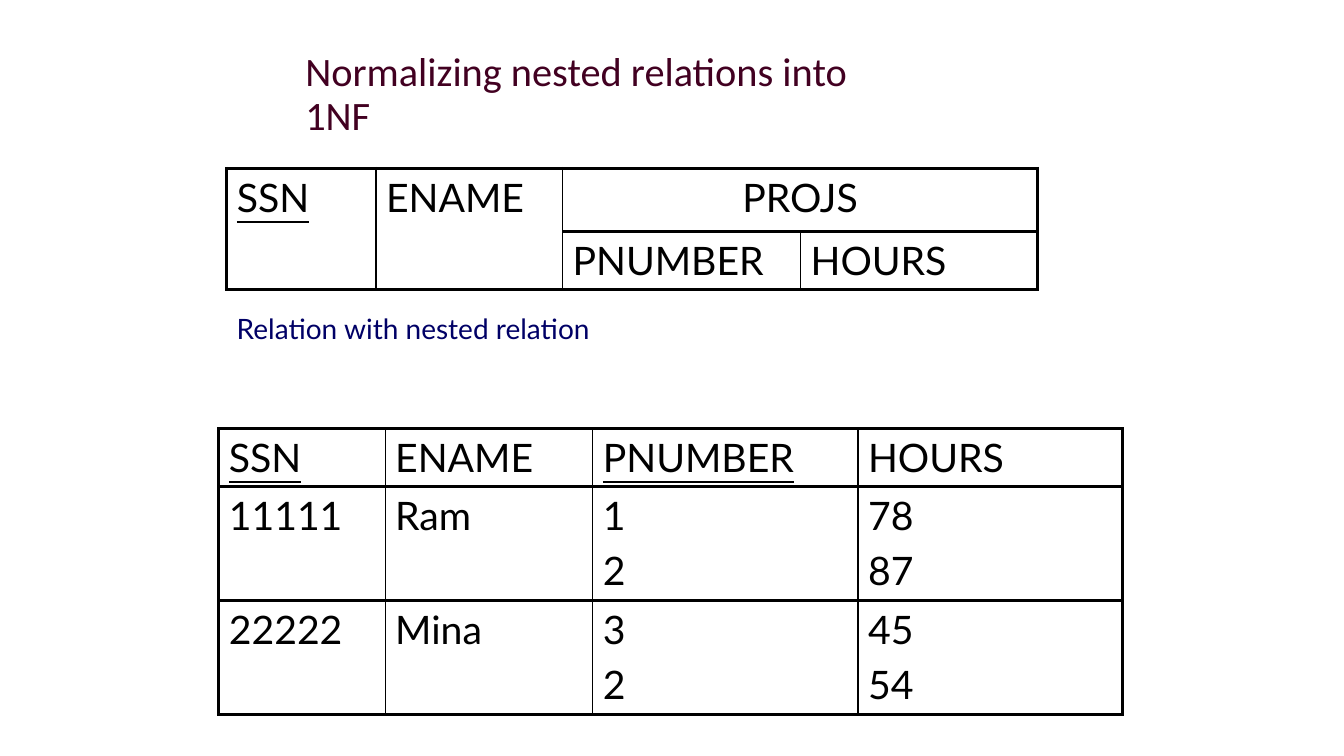
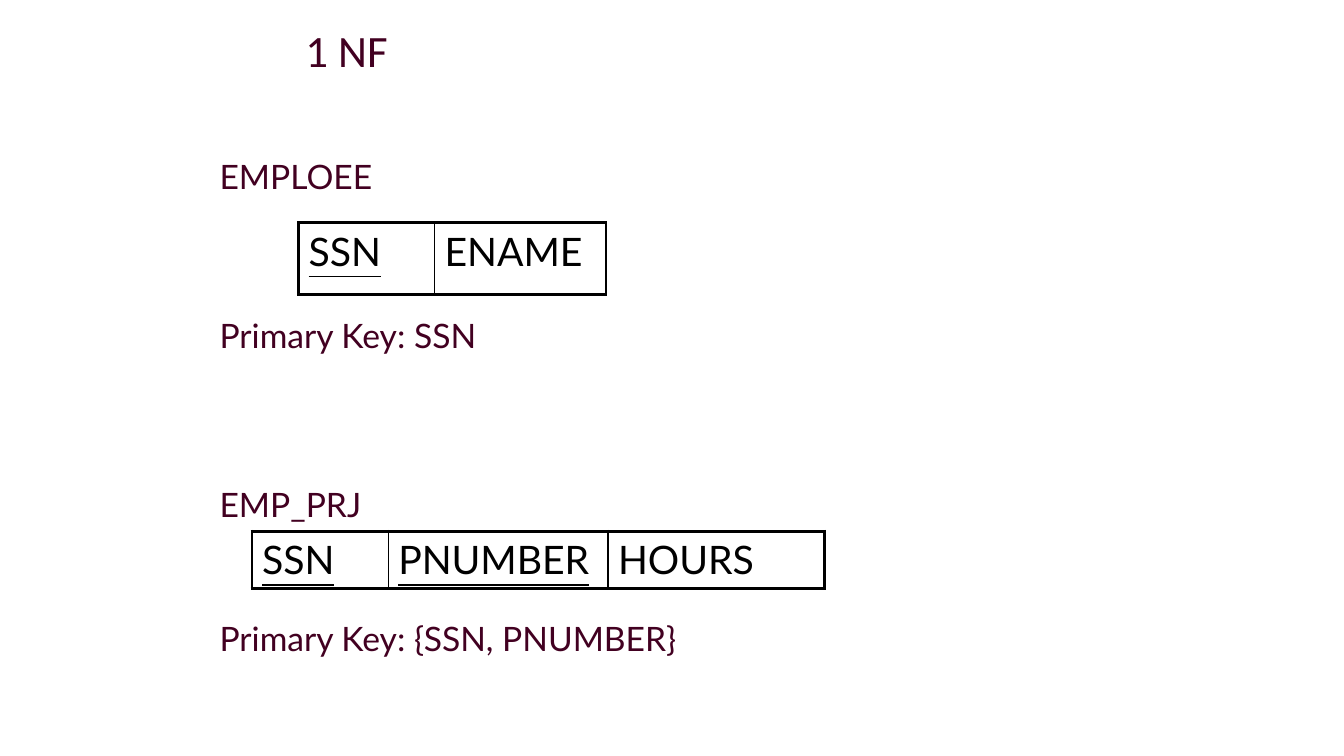
from lxml import etree
from pptx import Presentation
from pptx.dml.color import RGBColor
from pptx.enum.text import MSO_ANCHOR, PP_ALIGN
from pptx.oxml.ns import qn
from pptx.util import Inches, Pt

MIDDLE = MSO_ANCHOR.MIDDLE
TOP = MSO_ANCHOR.TOP
LEFT = PP_ALIGN.LEFT
CENTER = PP_ALIGN.CENTER

COLORS = {"title": "420021", "note": "000066", "ink": "000000"}
TITLE_FONT = "Calibri"
BODY_FONT = "Lato"
TITLE_LEFT = 2.93
LABEL_LEFT = 2.08
THICK, THIN = 2.25, 1


def style(p, font, size, color):
    p.font.name = font
    p.font.size = Pt(size)
    p.font.color.rgb = RGBColor.from_string(COLORS[color])


def add_text(slide, text, box, size, color, font=BODY_FONT, anchor=TOP):
    sp = slide.shapes.add_textbox(*map(Inches, box))
    tf = sp.text_frame
    tf.word_wrap = True
    tf.vertical_anchor = anchor
    p = tf.paragraphs[0]
    p.text = text
    style(p, font, size, color)
    return p


def add_title(slide, text, top, width, height, size):
    p = add_text(slide, text, (TITLE_LEFT, top, width, height), size,
                 "title", TITLE_FONT, MIDDLE)
    p.line_spacing = 0.9


def set_borders(cell, widths):
    """Draw the left, right, top and bottom borders, widths in points."""
    tc_pr = cell._tc.get_or_add_tcPr()
    for side, width in zip("LRTB", widths):
        ln = etree.SubElement(tc_pr, qn(f"a:ln{side}"), w=str(Pt(width)))
        fill = etree.SubElement(ln, qn("a:solidFill"))
        etree.SubElement(fill, qn("a:srgbClr"), val=COLORS["ink"])


def add_grid(slide, left, top, cols, heights, rows, keys, merges=()):
    """Add a relation table; headings listed in keys are underlined."""
    frame = slide.shapes.add_table(
        len(heights), len(cols), Inches(left), Inches(top),
        Inches(sum(cols)), Inches(sum(heights)))
    table = frame.table
    table.first_row = table.horz_banding = False
    for column, width in zip(table.columns, cols):
        column.width = Inches(width)
    for row, height in zip(table.rows, heights):
        row.height = Inches(height)
    for first, last in merges:
        table.cell(*first).merge(table.cell(*last))

    for r, texts in enumerate(rows):
        for c, text in enumerate(texts):
            cell = table.cell(r, c)
            if cell.is_spanned:
                continue
            span = cell.span_width if cell.is_merge_origin else 1
            set_borders(cell, (THICK if c == 0 else THIN,
                               THICK if c + span == len(cols) else THIN,
                               THICK, THICK))
            cell.fill.background()
            cell.text_frame.text = text
            for i, p in enumerate(cell.text_frame.paragraphs):
                style(p, BODY_FONT, 28, "ink")
                p.font.underline = text in keys
                p.alignment = CENTER if span > 1 else LEFT
                if i:
                    p.space_before = Pt(5.6)


def build_nested(slide):
    add_title(slide, "Normalizing nested relations into 1NF",
              0.48, 6.24, 0.93, 28.8)
    # Nested relation
    add_grid(slide, 2.25, 1.67, (1.48, 1.85, 2.36, 2.35), (0.63, 0.57),
             [("SSN", "ENAME", "PROJS", ""), ("", "", "PNUMBER", "HOURS")],
             keys=("SSN",),
             merges=[((0, 0), (1, 0)), ((0, 1), (1, 1)), ((0, 2), (0, 3))])
    # Sample rows
    add_grid(slide, 2.17, 4.25, (1.65, 2.06, 2.63, 2.62), (0.58, 1.13, 1.13),
             [("SSN", "ENAME", "PNUMBER", "HOURS"),
              ("11111", "Ram", "1\n2", "78\n87"),
              ("22222", "Mina", "3\n2", "45\n54")],
             keys=("SSN", "PNUMBER"))
    add_text(slide, "Relation with nested relation",
             (2.25, 3.04, 7.67, 0.43), 20, "note")


def build_first_normal_form(slide):
    add_title(slide, "1 NF", 0.23, 6.07, 0.6, 32)
    # Relations
    add_grid(slide, 2.96, 2.21, (1.35, 1.7), (0.71,),
             [("SSN", "ENAME")], keys=("SSN",))
    add_grid(slide, 2.5, 5.27, (1.35, 2.18, 2.15), (0.57,),
             [("SSN", "PNUMBER", "HOURS")], keys=("SSN", "PNUMBER"))
    # Relation names and keys
    for top, text in ((1.5, "EMPLOEE"), (3.08, "Primary Key: SSN"),
                      (4.75, "EMP_PRJ"),
                      (6.08, "Primary Key: {SSN, PNUMBER}")):
        add_text(slide, text, (LABEL_LEFT, top, 7.83, 0.5), 24, "title")


def main():
    prs = Presentation()
    prs.slide_width = Inches(13.33)
    prs.slide_height = Inches(7.5)
    for build in (build_nested, build_first_normal_form):
        build(prs.slides.add_slide(prs.slide_layouts[6]))
    prs.save("out.pptx")


if __name__ == "__main__":
    main()
